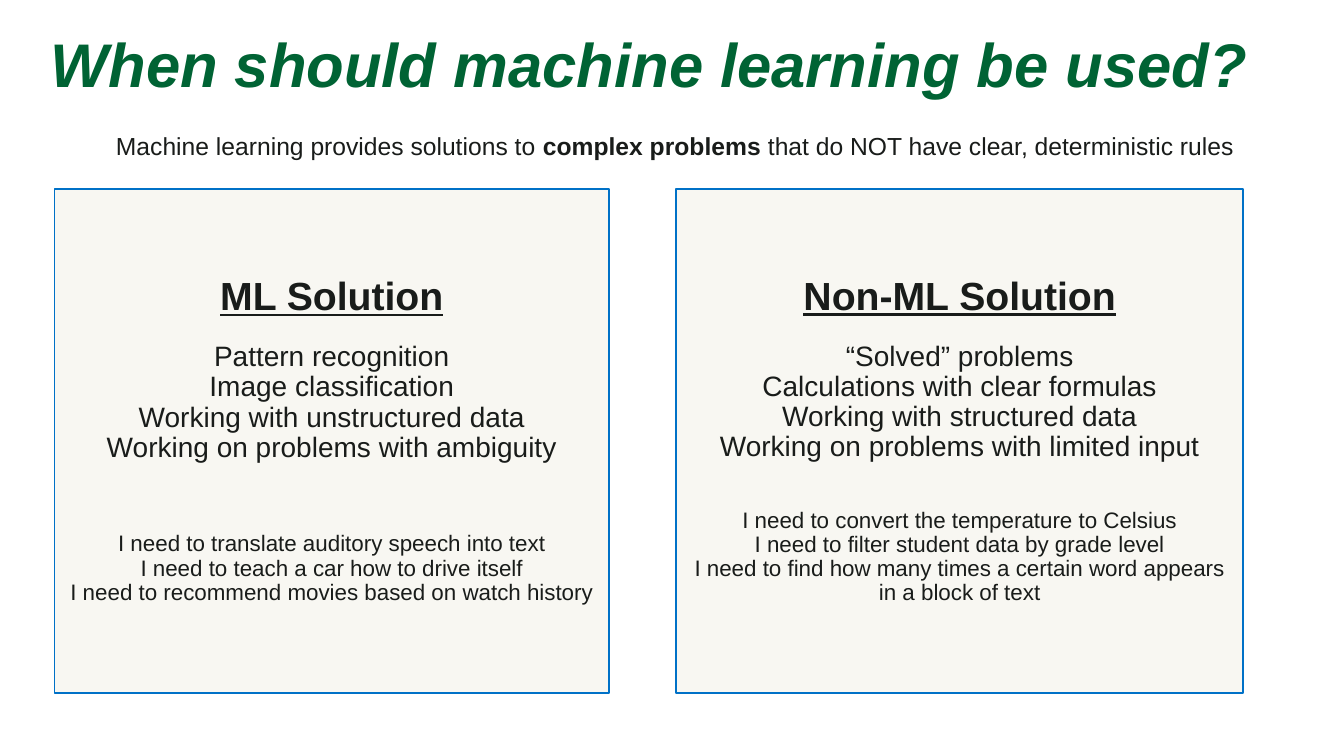
"""Build a slide comparing problems that suit machine learning with ones that do not."""
import pptx
import pptx.dml.color
import pptx.enum.shapes
import pptx.enum.text
import pptx.util

EMU_PER_PX = 9525
FONT = "Arial"
GREEN = pptx.dml.color.RGBColor(0x00, 0x63, 0x34)
INK = pptx.dml.color.RGBColor(0x19, 0x1C, 0x1A)
CREAM = pptx.dml.color.RGBColor(0xF8, 0xF7, 0xF2)
BLUE = pptx.dml.color.RGBColor(0x00, 0x71, 0xC7)
CENTER = pptx.enum.text.PP_ALIGN.CENTER
MIDDLE = pptx.enum.text.MSO_ANCHOR.MIDDLE
CARD_TOP, CARD_HEIGHT = 180, 480


def px(length):
    return pptx.util.Emu(length * EMU_PER_PX)


def place(box, left, top, width, height):
    box.left, box.top, box.width, box.height = map(px, (left, top, width, height))


def set_frame(frame, left, top, right, bottom):
    frame.word_wrap = True
    frame.auto_size = pptx.enum.text.MSO_AUTO_SIZE.NONE
    frame.margin_left, frame.margin_top = px(left), px(top)
    frame.margin_right, frame.margin_bottom = px(right), px(bottom)


def add_span(para, text, size, color=INK, bold=False, italic=False, underline=False):
    span = para.add_run()
    span.text = text
    font = span.font
    font.name, font.size = FONT, pptx.util.Pt(size)
    font.bold, font.italic, font.underline = bold, italic, underline
    font.color.rgb = color


def add_title(page, text):
    title = page.shapes.title
    place(title, 0, 0, 1239, 120)
    frame = title.text_frame
    set_frame(frame, 48, 10, 10, 0)
    frame.vertical_anchor = MIDDLE
    para = frame.paragraphs[0]
    para.alignment = pptx.enum.text.PP_ALIGN.LEFT
    para.line_spacing = 0.85
    add_span(para, text, 44, GREEN, bold=True, italic=True)


def add_summary(page, spans):
    box = page.shapes.add_textbox(px(40), px(120), px(1200), px(60))
    set_frame(box.text_frame, 16, 10, 10, 10)
    para = box.text_frame.paragraphs[0]
    para.alignment = CENTER
    para.line_spacing = 0.8
    for text, bold in spans:
        add_span(para, text, 17.6, bold=bold)


def add_lines(frame, lines, size, gap):
    for index, line in enumerate(lines):
        para = frame.add_paragraph()
        para.alignment = CENTER
        para.line_spacing = 0.9
        if index == 0:
            para.space_before = pptx.util.Pt(gap)
        add_span(para, line, size)


def add_card(page, left, width, heading, traits, examples, example_gap):
    card = page.shapes.add_shape(
        pptx.enum.shapes.MSO_SHAPE.RECTANGLE,
        px(left), px(CARD_TOP), px(width), px(CARD_HEIGHT))
    card.shadow.inherit = False
    card.fill.solid()
    card.fill.fore_color.rgb = CREAM
    card.line.color.rgb = BLUE
    card.line.width = pptx.util.Pt(1)
    frame = card.text_frame
    set_frame(frame, 10, 10, 10, 10)
    frame.vertical_anchor = MIDDLE
    para = frame.paragraphs[0]
    para.alignment = CENTER
    para.line_spacing = 0.9
    add_span(para, heading, 28, bold=True, underline=True)
    add_lines(frame, traits, 20, 16.5)
    add_lines(frame, examples, 16, example_gap)


def main():
    deck = pptx.Presentation()
    deck.slide_width, deck.slide_height = px(1280), px(720)
    page = deck.slides.add_slide(deck.slide_layouts.get_by_name("Title Only"))
    add_title(page, "When should machine learning be used?")
    add_summary(page, [
        ("Machine learning provides solutions to ", False),
        ("complex problems", True),
        (" that do NOT have clear, deterministic rules", False),
    ])
    add_card(page, 52, 528, "ML Solution", [
        "Pattern recognition",
        "Image classification",
        "Working with unstructured data",
        "Working on problems with ambiguity",
    ], [
        "I need to translate auditory speech into text",
        "I need to teach a car how to drive itself",
        "I need to recommend movies based on watch history",
    ], 49.5)
    add_card(page, 644, 540, "Non-ML Solution", [
        "“Solved” problems",
        "Calculations with clear formulas",
        "Working with structured data",
        "Working on problems with limited input",
    ], [
        "I need to convert the temperature to Celsius",
        "I need to filter student data by grade level",
        "I need to find how many times a certain word appears in a block of text",
    ], 33)
    deck.save("out.pptx")


if __name__ == "__main__":
    main()
